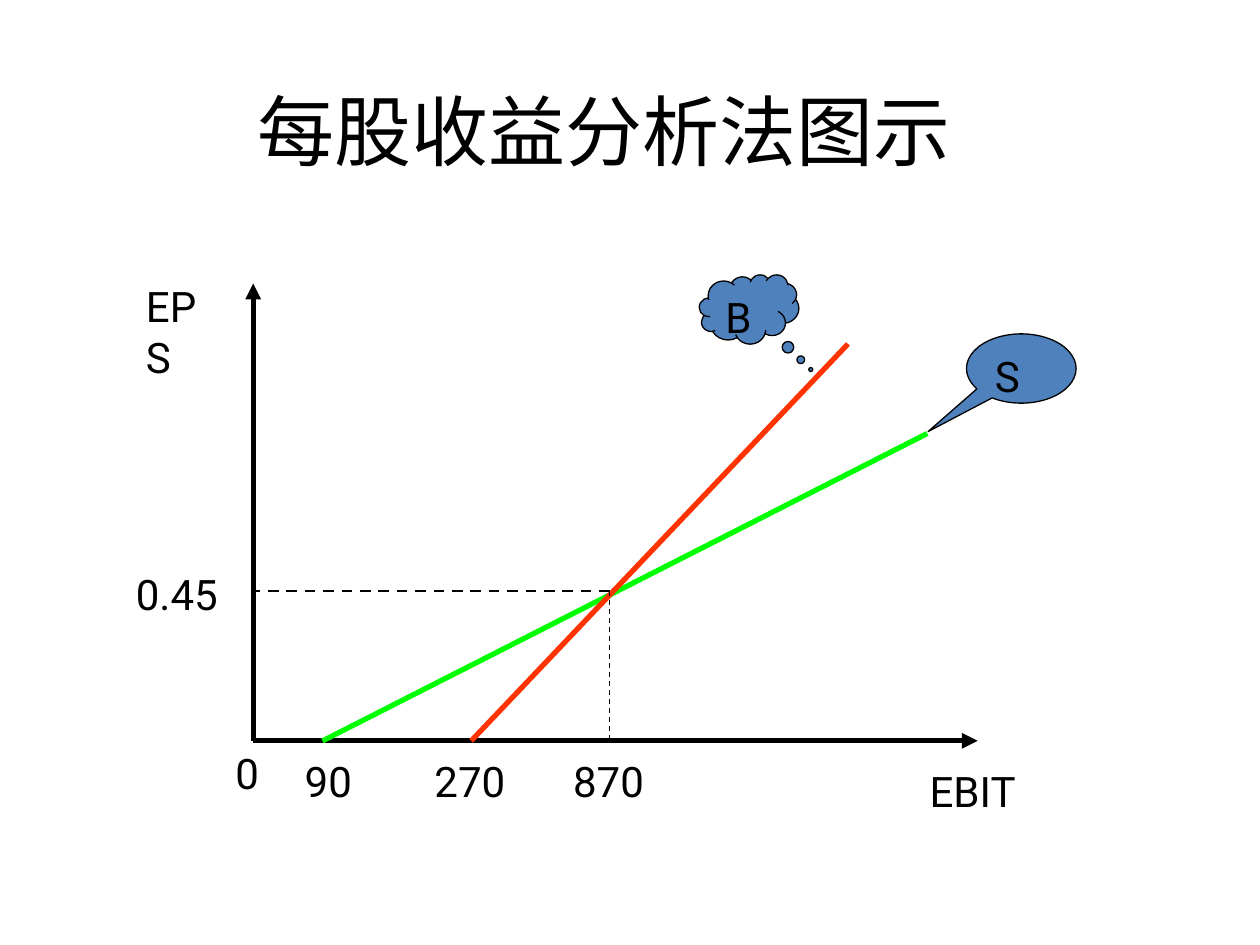
from pptx import Presentation
from pptx.dml.color import RGBColor
from pptx.enum.dml import MSO_LINE
from pptx.enum.shapes import MSO_CONNECTOR, MSO_SHAPE
from pptx.enum.text import MSO_ANCHOR, MSO_AUTO_SIZE, PP_ALIGN
from pptx.oxml.ns import qn
from pptx.util import Inches, Pt
from lxml import etree

BLACK = RGBColor(0x00, 0x00, 0x00)
GREEN = RGBColor(0x00, 0xFF, 0x00)
RED = RGBColor(0xFF, 0x33, 0x00)
BLUE = RGBColor(0x4F, 0x81, 0xBD)

STRAIGHT = MSO_CONNECTOR.STRAIGHT
DASH = MSO_LINE.DASH
ELLIPSE_CALLOUT = MSO_SHAPE.OVAL_CALLOUT
CLOUD_CALLOUT = MSO_SHAPE.CLOUD_CALLOUT
TOP, MIDDLE = MSO_ANCHOR.TOP, MSO_ANCHOR.MIDDLE
LEFT, CENTER = PP_ALIGN.LEFT, PP_ALIGN.CENTER
GROW = MSO_AUTO_SIZE.SHAPE_TO_FIT_TEXT

SLIDE_WIDTH, SLIDE_HEIGHT = Inches(10), Inches(7.5)

# Positions are percentages of the slide's width (x) and height (y).
ORIGIN_X, ORIGIN_Y = 20.1, 78.4
BREAK_EVEN_X, BREAK_EVEN_Y = 48.4, 62.53
LABEL_HEIGHT = 6.67
TICK_TOP = 79.33


def across(percent):
    return round(SLIDE_WIDTH * percent / 100)


def down(percent):
    return round(SLIDE_HEIGHT * percent / 100)


def frame(left, top, width, height):
    return across(left), down(top), across(width), down(height)


def write(text_frame, text, size=24, font="Roboto", align=LEFT, anchor=TOP):
    text_frame.word_wrap = True
    text_frame.vertical_anchor = anchor
    paragraph = text_frame.paragraphs[0]
    paragraph.text = text
    paragraph.alignment = align
    paragraph.font.size = Pt(size)
    paragraph.font.name = font
    paragraph.font.color.rgb = BLACK


def add_title(slide, text):
    title = slide.shapes.add_textbox(*frame(8.4, 4.8, 79.1, 17.87))
    write(title.text_frame, text, 44, "Calibri", CENTER, MIDDLE)


def add_label(slide, text, left, top, width):
    label = slide.shapes.add_textbox(*frame(left, top, width, LABEL_HEIGHT))
    write(label.text_frame, text)
    label.text_frame.auto_size = GROW


def add_line(slide, start, end, color=BLACK, width=3, dash=None, arrow=False):
    line = slide.shapes.add_connector(
        STRAIGHT, across(start[0]), down(start[1]), across(end[0]), down(end[1]))
    line.line.color.rgb = color
    line.line.width = Pt(width)
    if dash:
        line.line.dash_style = dash
    if arrow:
        etree.SubElement(line.line._get_or_add_ln(), qn("a:tailEnd"), type="triangle")
    etree.SubElement(line._element.spPr, qn("a:effectLst"))


def add_callout(slide, kind, text, box, pointer):
    callout = slide.shapes.add_shape(kind, *frame(*box))
    callout.adjustments[0], callout.adjustments[1] = pointer
    callout.shadow.inherit = False
    callout.fill.solid()
    callout.fill.fore_color.rgb = BLUE
    callout.line.color.rgb = BLACK
    callout.line.width = Pt(0.75)
    write(callout.text_frame, text)
    return callout


def turn_sideways(callout):
    """Rotate the callout a quarter turn while its text stays upright."""
    callout.rotation = 90
    body = callout.text_frame._txBody.bodyPr
    body.set("rot", "10800000")
    body.set("vert", "eaVert")


def main():
    deck = Presentation()
    deck.slide_width, deck.slide_height = SLIDE_WIDTH, SLIDE_HEIGHT
    slide = deck.slides.add_slide(deck.slide_layouts[6])

    add_title(slide, "每股收益分析法图示")

    origin = (ORIGIN_X, ORIGIN_Y)
    add_line(slide, origin, (77.6, ORIGIN_Y), arrow=True)
    add_line(slide, origin, (ORIGIN_X, 30), arrow=True)

    add_line(slide, (25.6, ORIGIN_Y), (73.6, 45.87), GREEN)
    add_line(slide, (37.4, ORIGIN_Y), (67.3, 36.4), RED)

    break_even = (BREAK_EVEN_X, BREAK_EVEN_Y)
    add_line(slide, break_even, (ORIGIN_X, BREAK_EVEN_Y), width=1.5, dash=DASH)
    add_line(slide, break_even, (BREAK_EVEN_X, ORIGIN_Y), width=0.75, dash=DASH)

    for text, left, top, width in (
        ("EBIT", 72.8, 80.4, 15.7),
        ("EPS", 10.6, 29.07, 7.9),
        ("0", 17.7, ORIGIN_Y, 3.2),
        ("90", 23.2, TICK_TOP, 6.3),
        ("270", 33.5, TICK_TOP, 8.7),
        ("870", 44.5, TICK_TOP, 7.9),
        ("0.45", 9.8, 59.47, 9.5),
    ):
        add_label(slide, text, left, top, width)

    stock = add_callout(slide, ELLIPSE_CALLOUT, "S", (78.3, 33.2, 5.5, 11.6), (0.91, 0.85))
    turn_sideways(stock)
    add_callout(slide, CLOUD_CALLOUT, "B", (55.5, 29.07, 7.9, 7.33), (0.62, 0.87))

    deck.save("out.pptx")


if __name__ == "__main__":
    main()
